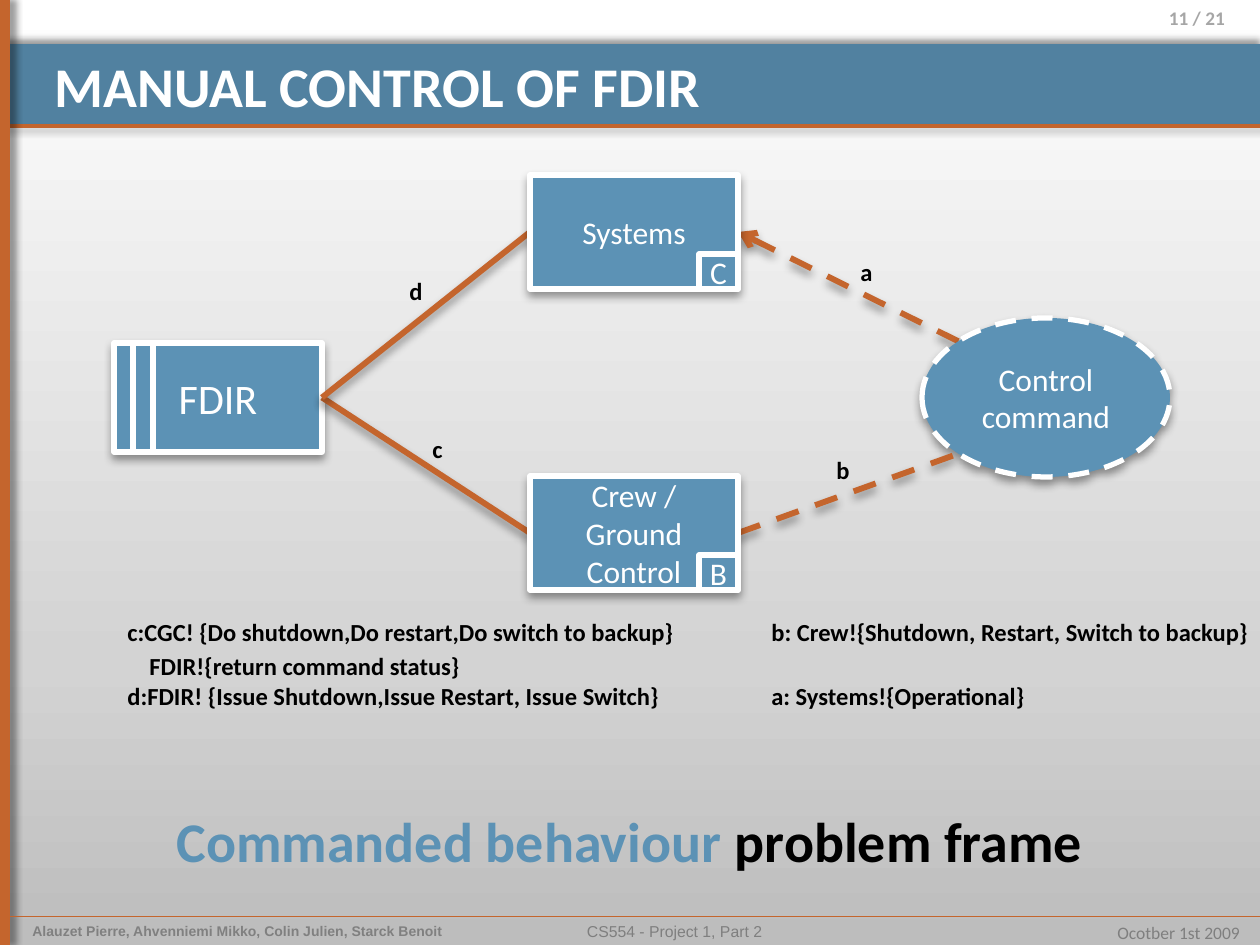
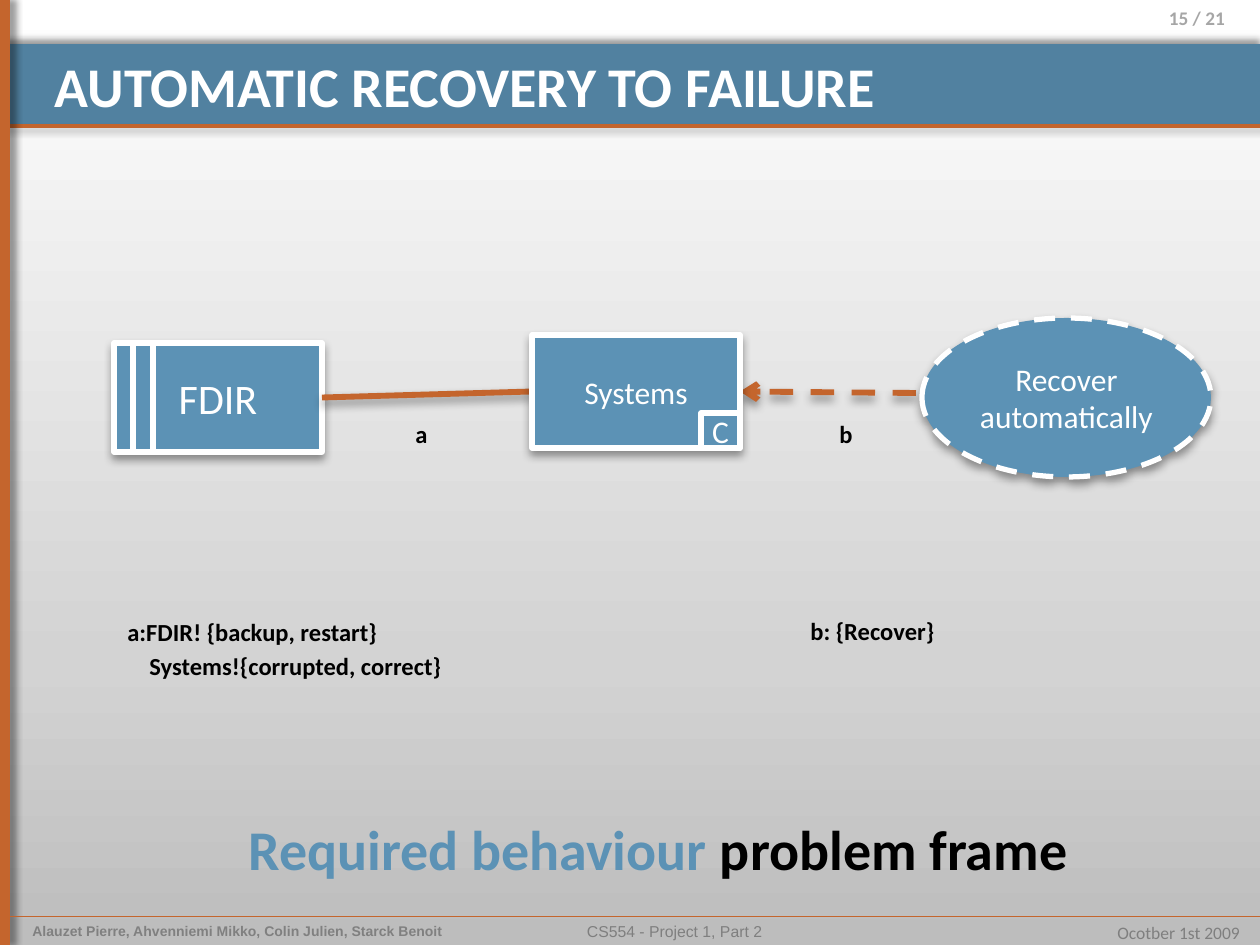
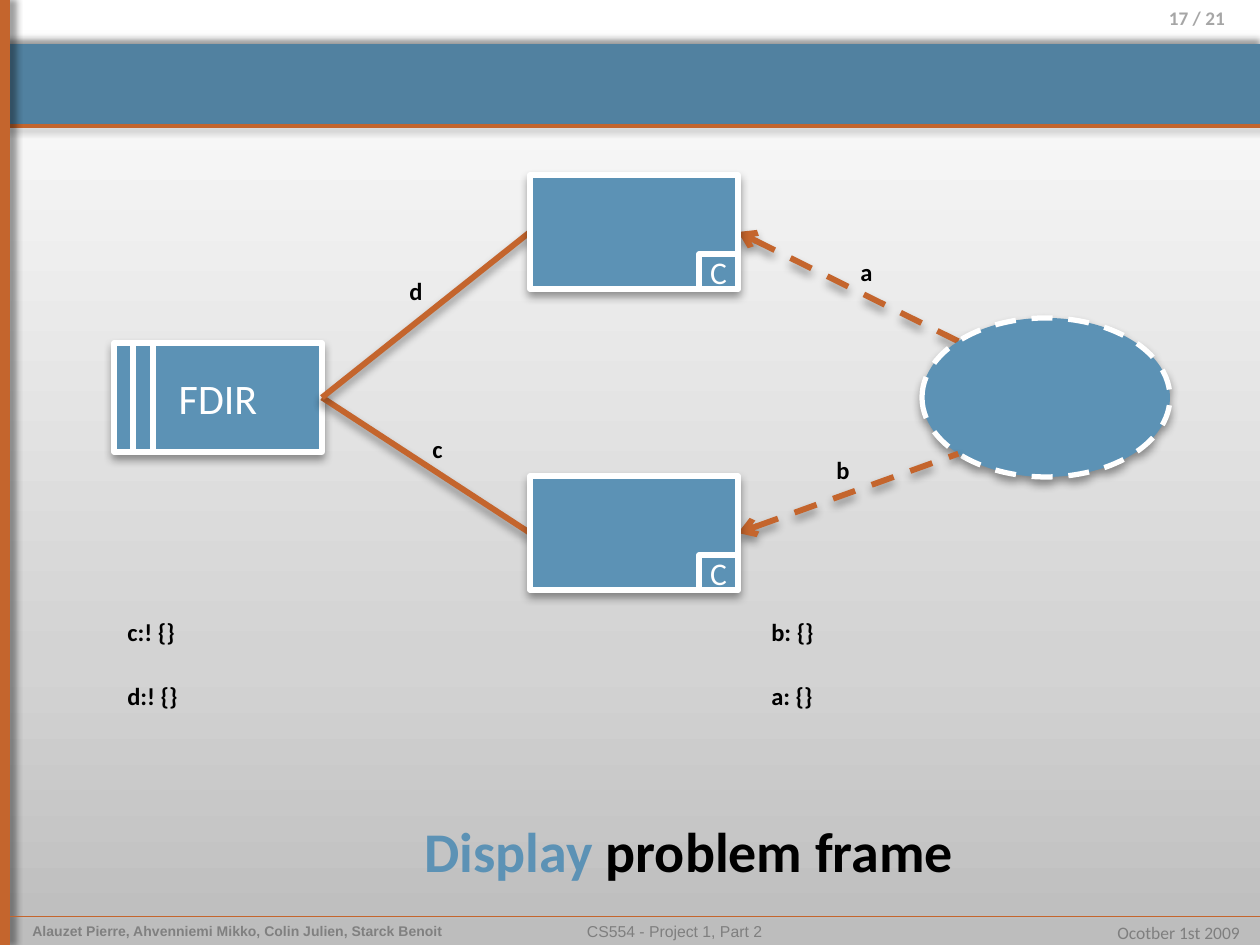
from collections import namedtuple
from copy import deepcopy
from dataclasses import dataclass
from math import sqrt

from pptx import Presentation
from pptx.dml.color import RGBColor
from pptx.enum.dml import MSO_LINE
from pptx.enum.shapes import MSO_CONNECTOR, MSO_SHAPE
from pptx.enum.text import MSO_ANCHOR, MSO_AUTO_SIZE, PP_ALIGN
from pptx.oxml import parse_xml
from pptx.oxml.ns import nsdecls, qn
from pptx.util import Emu, Pt

RECTANGLE, ELLIPSE = MSO_SHAPE.RECTANGLE, MSO_SHAPE.OVAL
STRAIGHT, DASH = MSO_CONNECTOR.STRAIGHT, MSO_LINE.DASH
LEFT, CENTER, RIGHT = PP_ALIGN.LEFT, PP_ALIGN.CENTER, PP_ALIGN.RIGHT
TOP, MIDDLE = MSO_ANCHOR.TOP, MSO_ANCHOR.MIDDLE
TITLE_ONLY = 5

Box = namedtuple("Box", "left top width height")
Style = namedtuple("Style", "color size bold name", defaults=(False, "Calibri"))
Shadow = namedtuple("Shadow", "blur distance direction")


@dataclass(frozen=True)
class Theme:
    band: str = "5181A0"
    accent: str = "C4652D"
    node: str = "5C92B5"
    white: str = "FFFFFF"
    backdrop: tuple = ((0, "BDBDBD"), (0.3, "D3D3D3"), (1, "FFFFFF"))
    outline: float = 3
    link: float = 3.35
    hairline: float = 0.25
    node_shadow: Shadow = Shadow(5.2, 3, 90)
    title: Style = Style("FFFFFF", 32, True)
    machine: Style = Style("FFFFFF", 24)
    domain: Style = Style("FFFFFF", 18)
    note: Style = Style("000000", 14, True)
    caption_key: Style = Style("5C92B5", 32, True)
    caption: Style = Style("000000", 32, True)
    authors: Style = Style("808080", 8, True, "Arial")
    course: Style = Style("7F7F7F", 9, False, "Arial")
    date: Style = Style("7F7F7F", 10)
    page: Style = Style("A6A6A6", 11, True)


THEME = Theme()


def px(length):
    return Emu(round(length * 914400 / 126))


def assign(target, values):
    for name, value in values.items():
        setattr(target, name, value)


def side(box, across, down):
    """Point of a box at the given fractions of its width and height."""
    return box.left + box.width * across, box.top + box.height * down


# Drawing helpers

def set_shadow(shape, shadow):
    properties = shape.element.spPr
    for effects in properties.findall(qn("a:effectLst")):
        properties.remove(effects)
    outer = ""
    if shadow:
        outer = (f'<a:outerShdw blurRad="{Pt(shadow.blur)}" dist="{Pt(shadow.distance)}" '
                 f'dir="{shadow.direction * 60000}" rotWithShape="0">'
                 '<a:srgbClr val="000000"><a:alpha val="40000"/></a:srgbClr></a:outerShdw>')
    properties.append(parse_xml(f'<a:effectLst {nsdecls("a")}>{outer}</a:effectLst>'))


def set_line(line, color, width, dash=None):
    line.color.rgb = RGBColor.from_string(color)
    assign(line, {"width": Pt(width), "dash_style": dash})


def add_block(shapes, kind, box, fill, shadow=None, outline=None, dash=None):
    shape = shapes.add_shape(kind, *map(px, box))
    shape.fill.solid()
    shape.fill.fore_color.rgb = RGBColor.from_string(fill)
    if outline:
        set_line(shape.line, THEME.white, outline, dash)
    else:
        shape.line.fill.background()
    set_shadow(shape, shadow)
    return shape


def add_line(shapes, start, end, color, width, dash=None, shadow=None, arrow=None):
    line = shapes.add_connector(STRAIGHT, *map(px, start + end))
    set_line(line.line, color, width, dash)
    if arrow:
        outline = line.element.spPr.find(qn("a:ln"))
        outline.append(parse_xml(f'<a:{arrow} {nsdecls("a")} type="arrow"/>'))
    set_shadow(line, shadow)


def write(shape, paragraphs, align=LEFT, indent=0, **frame_values):
    """Each paragraph is a list of (text, style) runs."""
    frame = shape.text_frame
    assign(frame, frame_values)
    for index, runs in enumerate(paragraphs):
        paragraph = frame.add_paragraph() if index else frame.paragraphs[0]
        paragraph.alignment = align
        if index:
            paragraph.space_before = Pt(2.8)
            paragraph._p.get_or_add_pPr().set("marL", str(px(indent)))
        for text, style in runs:
            run = paragraph.add_run()
            run.text = text
            assign(run.font, {"name": style.name, "size": Pt(style.size), "bold": style.bold})
            run.font.color.rgb = RGBColor.from_string(style.color)


def add_text(slide, box, paragraphs, align=LEFT, wrap=False, **values):
    text_box = slide.shapes.add_textbox(*map(px, box))
    write(text_box, paragraphs, align, word_wrap=wrap, **values)


# Shared background, bands and footer

def set_backdrop(master):
    fill = master.background.fill
    fill.gradient()
    fill.gradient_angle = 90
    stop_list = master.element.find(".//" + qn("p:bgPr")).find(".//" + qn("a:gsLst"))
    while len(stop_list) < len(THEME.backdrop):
        stop_list.append(deepcopy(stop_list[0]))
    for stop, (position, color) in zip(fill.gradient_stops, THEME.backdrop):
        stop.position = position
        stop.color.rgb = RGBColor.from_string(color)


def draw_bands(slide):
    for box, color, direction in (
        (Box(0, 44, 1260, 84), THEME.band, 270),
        (Box(0, 124, 1260, 4), THEME.accent, 45),
        (Box(0, 0, 10, 945), THEME.accent, 0),
    ):
        add_block(slide.shapes, RECTANGLE, box, color, Shadow(4, 3, direction))


def draw_footer(slide, box):
    left, top, width, height = box
    add_line(slide.shapes, (left, top), (left + width, top), THEME.accent,
             THEME.hairline, shadow=Shadow(4, 3, 45))
    for offset, span, text, style, align in (
        (10, 462, "Alauzet Pierre, Ahvenniemi Mikko, Colin Julien, Starck Benoit",
         THEME.authors, LEFT),
        (276, 777, "CS554 - Project 1, Part 2", THEME.course, CENTER),
        (1087, 155, "Ocotber 1st 2009", THEME.date, RIGHT),
    ):
        add_text(slide, Box(left + offset, top, span, height), [[(text, style)]], align, wrap=True)


def move_to_layout(slide, layout):
    for shape in list(slide.shapes):
        if not shape.is_placeholder:
            layout.shapes.element.append(shape.element)


# Parts of a problem diagram

def draw_title(slide, text, box):
    title = slide.shapes.title
    if not text:
        title.element.getparent().remove(title.element)
        return
    assign(title, dict(zip(Box._fields, map(px, box))))
    write(title, [[(text, THEME.title)]], auto_size=MSO_AUTO_SIZE.NONE,
          vertical_anchor=TOP, margin_top=px(8), word_wrap=True)


def draw_machine(slide, box):
    group = slide.shapes.add_group_shape()
    block = add_block(group.shapes, RECTANGLE, box, THEME.node, THEME.node_shadow, THEME.outline)
    write(block, [[("FDIR", THEME.machine)]], CENTER, vertical_anchor=MIDDLE)
    for offset in (19, 39):
        x = box.left + offset
        add_line(group.shapes, (x, box.top), (x, box.top + box.height),
                 THEME.white, THEME.outline)


def draw_domain(slide, box, label, tag):
    group = slide.shapes.add_group_shape()
    block = add_block(group.shapes, RECTANGLE, box, THEME.node, THEME.node_shadow, THEME.outline)
    if label:
        write(block, [[(label, THEME.domain)]], CENTER, vertical_anchor=MIDDLE, word_wrap=True)
    width, height = 39, 35
    corner = Box(box.left + box.width - width, box.top + box.height - height, width, height)
    tag_block = add_block(group.shapes, RECTANGLE, corner, THEME.node, outline=THEME.outline)
    write(tag_block, [[(tag, THEME.domain)]], CENTER, vertical_anchor=MIDDLE, word_wrap=False,
          margin_left=0, margin_right=0, margin_top=0, margin_bottom=0)


def draw_requirement(slide, box, label):
    oval = add_block(slide.shapes, ELLIPSE, box, THEME.node, THEME.node_shadow,
                     THEME.outline, DASH)
    if label:
        write(oval, [[(label, THEME.domain)]], CENTER, vertical_anchor=MIDDLE, word_wrap=True)


def draw_link(slide, start, end, dash=None, arrow=None):
    add_line(slide.shapes, start, end, THEME.accent, THEME.link, dash, THEME.node_shadow, arrow)


def draw_notes(slide, notes):
    for left, top, width, *lines in notes:
        add_text(slide, Box(left, top, width, 43 if len(lines) == 1 else 78),
                 [[(line, THEME.note)] for line in lines], indent=22)


def draw_caption(slide, box, key):
    add_text(slide, box, [[(key + " ", THEME.caption_key), ("problem frame", THEME.caption)]])


# Diagram positions

MACHINE = Box(114, 343, 208, 109)
UPPER = Box(530, 175, 208, 114)
LOWER = Box(530, 476, 208, 114)
CENTRAL = Box(532, 335, 208, 113)
OVAL = Box(922, 318, 248, 159)
WIDE_OVAL = Box(922, 318, 289, 159)
DIAGONAL = (1 - sqrt(0.5)) / 2
MACHINE_PORT = side(MACHINE, 1, 0.5)


def two_domain_links(lower_arrow):
    return [
        (side(OVAL, DIAGONAL, DIAGONAL), side(UPPER, 1, 0.5), DASH, "tailEnd"),
        (side(LOWER, 1, 0.5), side(OVAL, DIAGONAL, 1 - DIAGONAL), DASH, lower_arrow),
        (MACHINE_PORT, side(LOWER, 0, 0.5)),
        (MACHINE_PORT, side(UPPER, 0, 0.5)),
    ]


TWO_DOMAIN_LABELS = [(824, 449, 44, "b"), (848, 251, 43, "a"),
                     (420, 428, 42, "c"), (397, 270, 44, "d")]

FRAMES = [
    {
        "page": 11,
        "title": "MANUAL CONTROL OF FDIR",
        "requirement": (OVAL, "Control command"),
        "domains": [(UPPER, "Systems", "C"), (LOWER, "Crew / Ground Control", "B")],
        "links": two_domain_links(None),
        "notes": TWO_DOMAIN_LABELS + [
            (115, 611, 573, "c:CGC! {Do shutdown,Do restart,Do switch to backup}",
             "FDIR!{return command status}"),
            (115, 675, 563, "d:FDIR! {Issue Shutdown,Issue Restart, Issue Switch}"),
            (759, 611, 513, "b: Crew!{Shutdown, Restart, Switch to backup}"),
            (759, 675, 289, "a: Systems!{Operational}"),
        ],
        "caption": (Box(164, 800, 941, 81), "Commanded behaviour"),
    },
    {
        "page": 15,
        "title": "AUTOMATIC RECOVERY TO FAILURE",
        "requirement": (WIDE_OVAL, "Recover automatically"),
        "domains": [(CENTRAL, "Systems", "C")],
        "links": [((916, 393), side(CENTRAL, 1, 0.5), DASH, "tailEnd"),
                  (MACHINE_PORT, side(CENTRAL, 0, 0.5))],
        "notes": [
            (827, 413, 44, "b"),
            (403, 413, 43, "a"),
            (115, 611, 344, "a:FDIR! {backup, restart}", "Systems!{corrupted, correct}"),
            (798, 610, 151, "b: {Recover}"),
        ],
        "caption": (Box(236, 808, 856, 81), "Required behaviour"),
    },
    {
        "page": 17,
        "title": "",
        "requirement": (OVAL, ""),
        "domains": [(UPPER, "", "C"), (LOWER, "", "C")],
        "links": two_domain_links("headEnd"),
        "notes": TWO_DOMAIN_LABELS + [
            (115, 611, 73, "c:! {}"),
            (115, 675, 77, "d:! {}"),
            (759, 611, 74, "b: {}"),
            (759, 675, 73, "a: {}"),
        ],
        "caption": (Box(412, 810, 575, 81), "Display"),
    },
]


def draw_problem_frame(slide, frame):
    draw_title(slide, frame["title"], Box(42, 44, 1169, 73))
    add_text(slide, Box(1113, 0, 147, 49), [[(f"{frame['page']} / 21", THEME.page)]],
             RIGHT, wrap=True, margin_right=px(35))
    # The requirement's arrow lies beneath the nodes, the other links above them
    requirement_link, *other_links = frame["links"]
    draw_link(slide, *requirement_link)
    draw_machine(slide, MACHINE)
    draw_requirement(slide, *frame["requirement"])
    for link in other_links:
        draw_link(slide, *link)
    for domain in frame["domains"]:
        draw_domain(slide, *domain)
    draw_notes(slide, frame["notes"])
    draw_caption(slide, *frame["caption"])


def main():
    presentation = Presentation()
    assign(presentation, {"slide_width": px(1260), "slide_height": px(945)})
    set_backdrop(presentation.slide_master)
    layout = presentation.slide_layouts[TITLE_ONLY]
    slides = [presentation.slides.add_slide(layout) for _ in FRAMES]
    draw_bands(slides[0])
    draw_footer(slides[0], Box(10, 916, 1250, 29))
    move_to_layout(slides[0], layout)
    for slide, frame in zip(slides, FRAMES):
        draw_problem_frame(slide, frame)
    presentation.save("out.pptx")


if __name__ == "__main__":
    main()
